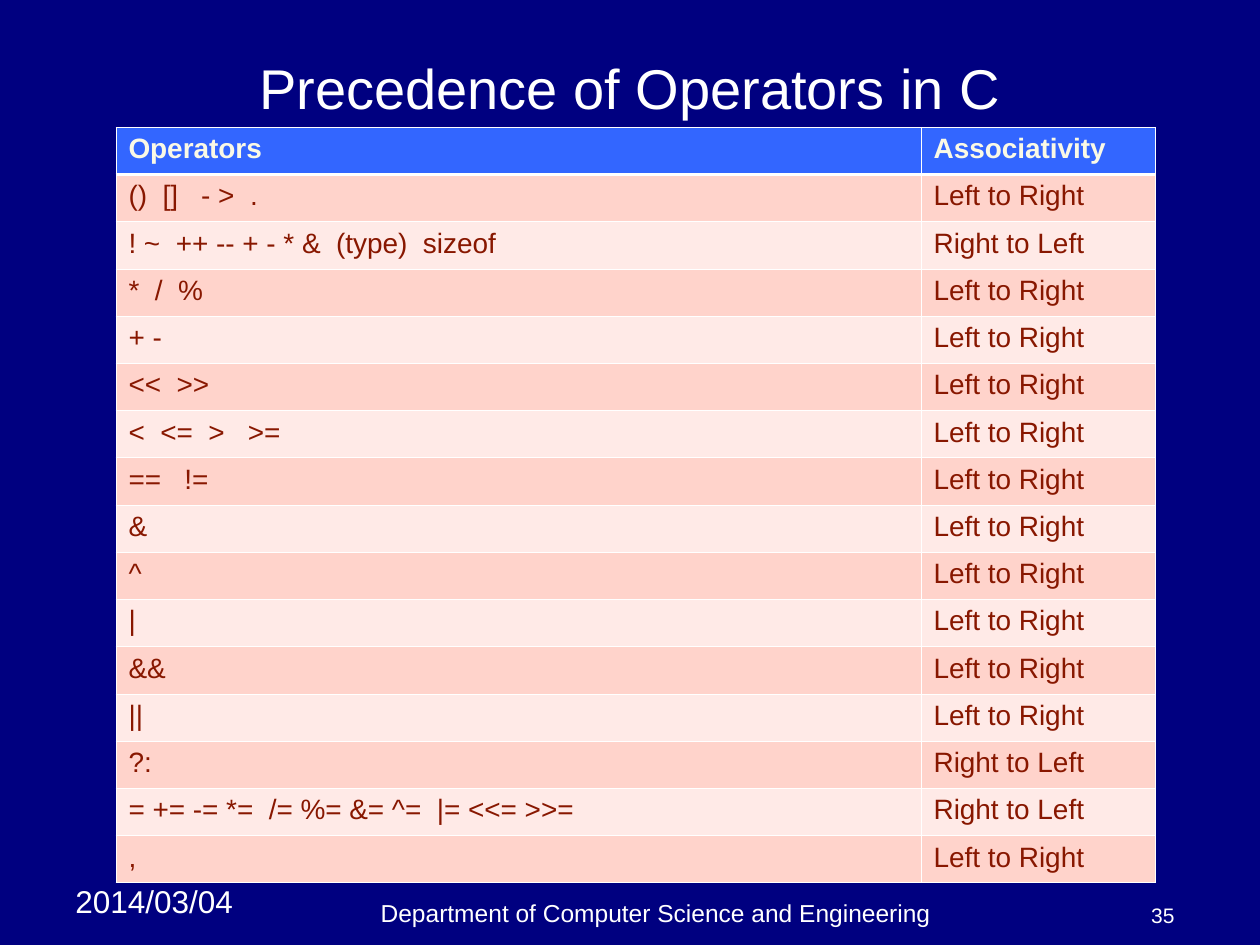
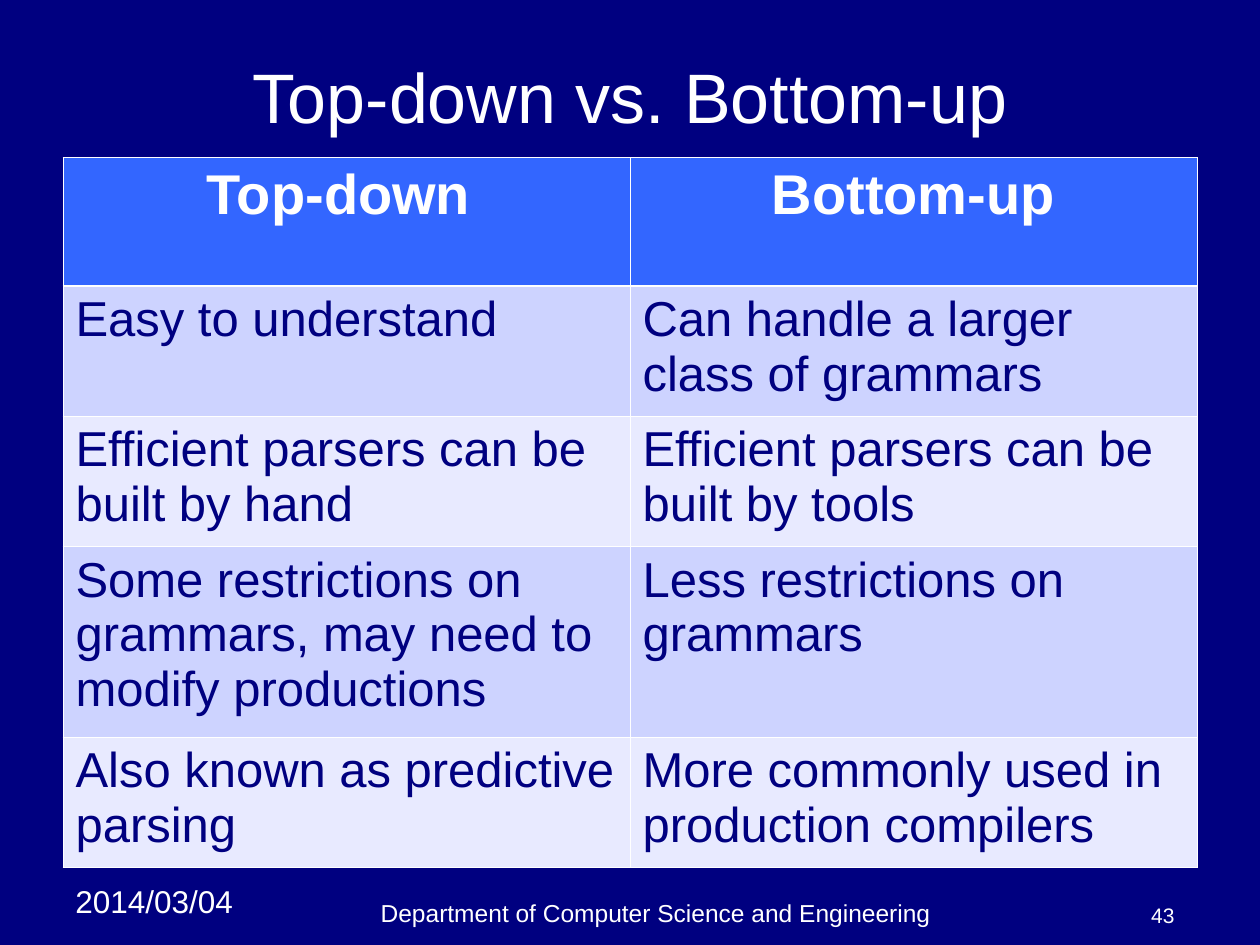
import pptx
import pptx.dml.color
import pptx.enum.text
import pptx.oxml
import pptx.oxml.ns
import pptx.util

Inches = pptx.util.Inches
ALIGN = pptx.enum.text.PP_ALIGN
ANCHOR = pptx.enum.text.MSO_ANCHOR

FONT = "Arial"
NAVY, WHITE, BLUE = "000080", "FFFFFF", "3366FF"
CREAM, RUST = "FAF9E6", "881700"
PINKS = ("FFD3CB", "FFEAE7")
LILACS = ("CDD3FF", "E8EAFF")
THIN, THICK = 0.45, 1.47

LTR, RTL = "Left to Right", "Right to Left"
RANKS = [
    ("Operators", "Associativity"),
    ("()  []   - >  .", LTR),
    ("! ~  ++ -- + - * &  (type)  sizeof", RTL),
    ("*  /  %", LTR),
    ("+ -", LTR),
    ("<<  >>", LTR),
    ("<  <=  >   >=", LTR),
    ("==   !=", LTR),
    ("&", LTR),
    ("^", LTR),
    ("|", LTR),
    ("&&", LTR),
    ("||", LTR),
    ("?:", RTL),
    ("= += -= *=  /= %= &= ^=  |= <<= >>=", RTL),
    (",", LTR),
]
PARSERS = [
    ("Top-down ", "Bottom-up"),
    ("Easy to understand", "Can handle a larger class of grammars"),
    ("Efficient parsers can be built by hand",
     "Efficient parsers can be built by tools"),
    ("Some restrictions on grammars, may need to modify productions",
     "Less restrictions on grammars"),
    ("Also known as predictive parsing",
     "More commonly used in production compilers"),
]


def paint(fill, color):
    fill.solid()
    fill.fore_color.rgb = rgb(color)


def rgb(color):
    return pptx.dml.color.RGBColor.from_string(color)


def write(frame, text, size, color=WHITE, bold=False, align=ALIGN.LEFT):
    frame.text = text
    para = frame.paragraphs[0]
    para.alignment = align
    font = para.runs[0].font
    font.name, font.size, font.bold = FONT, pptx.util.Pt(size), bold
    font.color.rgb = rgb(color)


def add_text(slide, box, text, size, align=ALIGN.LEFT, anchor=ANCHOR.BOTTOM):
    frame = slide.shapes.add_textbox(*map(Inches, box)).text_frame
    frame.word_wrap = True
    frame.vertical_anchor = anchor
    write(frame, text, size, align=align)


def add_slide(deck, title, size, top, height, number):
    """Add a slide with its title and the shared footer."""
    slide = deck.slides.add_slide(deck.slide_layouts.get_by_name("Title Only"))
    head = slide.shapes.title
    head.left, head.top, head.width, head.height = map(
        Inches, (0.5, top, 9, height))
    head.text_frame.vertical_anchor = ANCHOR.MIDDLE
    write(head.text_frame, title, size, align=ALIGN.CENTER)
    add_text(slide, (0.5, 6.95, 1.58, 0.4), "2014/03/04", 18,
             anchor=ANCHOR.TOP)
    add_text(slide, (1.83, 7.08, 6.75, 0.33),
             "Department of Computer Science and Engineering", 14,
             ALIGN.CENTER)
    add_text(slide, (8.75, 7.08, 0.67, 0.33), number, 12, ALIGN.RIGHT)
    return slide


def add_edge(cell, side, width):
    cell._tc.get_or_add_tcPr().append(pptx.oxml.parse_xml(
        f'<a:ln{side} {pptx.oxml.ns.nsdecls("a")} w="{pptx.util.Pt(width)}">'
        f'<a:solidFill><a:srgbClr val="{WHITE}"/></a:solidFill></a:ln{side}>'))


def add_grid(slide, left, top, widths, heights, rows, head, body, bands):
    """Add a table; head and body hold the text formats of its rows."""
    grid = slide.shapes.add_table(
        len(rows), len(widths), Inches(left), Inches(top),
        Inches(sum(widths)), Inches(sum(heights))).table
    for col, width in zip(grid.columns, widths):
        col.width = Inches(width)
    for r, (texts, height) in enumerate(zip(rows, heights)):
        grid.rows[r].height = Inches(height)
        for c, text in enumerate(texts):
            cell = grid.cell(r, c)
            write(cell.text_frame, text, **(body if r else head))
            for side in "LRTB":
                heavy = (r, side) in ((0, "B"), (1, "T"))
                add_edge(cell, side, THICK if heavy else THIN)
            paint(cell.fill, bands[(r - 1) % 2] if r else BLUE)


def main():
    deck = pptx.Presentation()
    deck.slide_width, deck.slide_height = Inches(10), Inches(7.5)
    paint(deck.slide_master.background.fill, NAVY)

    slide = add_slide(deck, "Precedence of Operators in C", 32, 0.39, 0.61,
                      "35")
    add_grid(slide, 0.92, 1.01, (6.39, 1.86),
             [6 / len(RANKS)] * len(RANKS), RANKS,
             head=dict(size=16, color=CREAM, bold=True),
             body=dict(size=16, color=RUST), bands=PINKS)

    slide = add_slide(deck, "Top-down vs. Bottom-up", 40, 0.3, 0.92, "43")
    add_grid(slide, 0.5, 1.25, (4.5, 4.5), (1.02, 1.03, 1.03, 1.51, 1.03),
             PARSERS, head=dict(size=32, bold=True, align=ALIGN.CENTER),
             body=dict(size=28, color=NAVY), bands=LILACS)

    deck.save("out.pptx")


if __name__ == "__main__":
    main()
